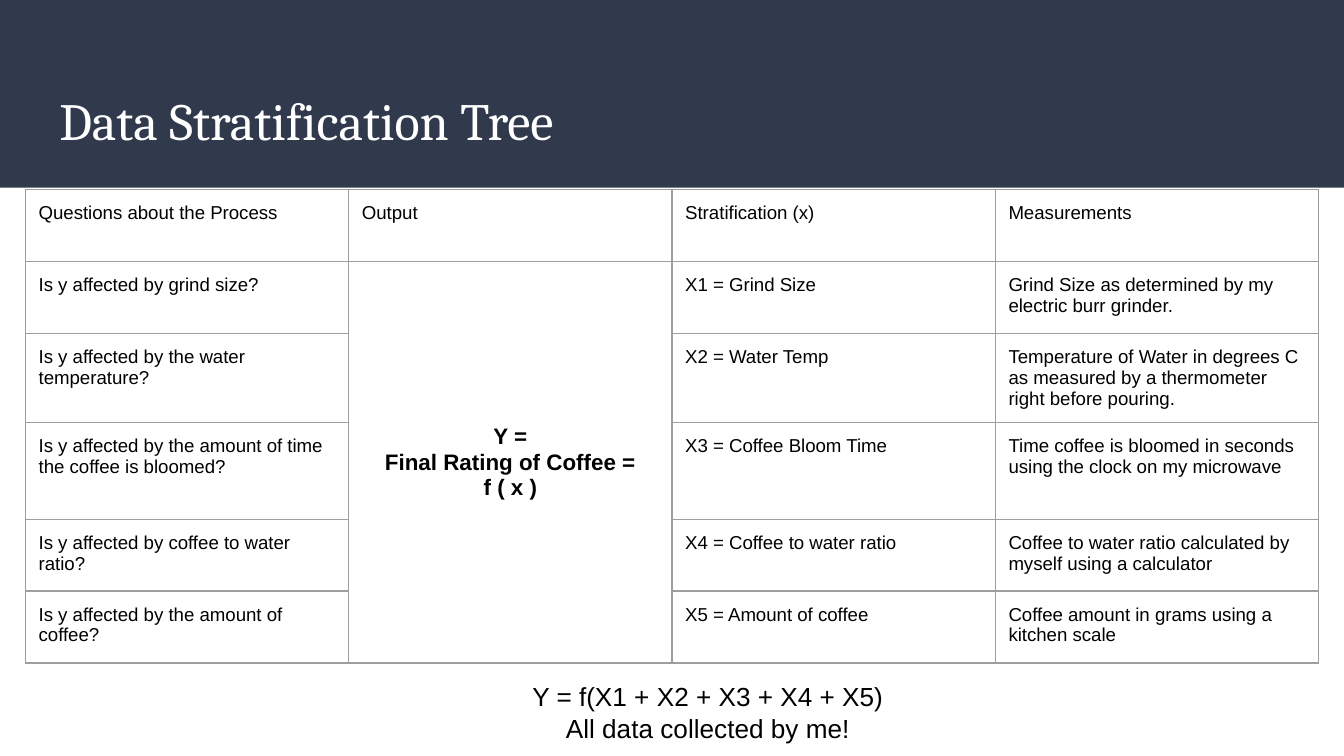
from lxml.etree import SubElement
from pptx import Presentation
from pptx.dml.color import RGBColor
from pptx.enum.shapes import MSO_SHAPE
from pptx.enum.text import MSO_ANCHOR, PP_ALIGN
from pptx.oxml.ns import qn
from pptx.util import Cm, Pt


def color(value):
    return RGBColor.from_string(value)


class StratificationSlide:
    navy = "31394D"
    white = "FFFFFF"
    black = "000000"
    grey = "9E9E9E"
    heading_font = "Cambria"
    body_font = "Arial"
    margin = Cm(0.25)

    def __init__(self, deck):
        self.page = deck.slides.add_slide(deck.slide_layouts[5])

    def format_text(self, frame, size, font, ink, align=PP_ALIGN.LEFT, bold=False):
        for para in frame.paragraphs:
            para.alignment = align
            for span in para.runs:
                span.font.size = Pt(size)
                span.font.name = font
                span.font.bold = bold
                span.font.color.rgb = color(ink)

    def set_margins(self, target):
        target.margin_left = target.margin_right = self.margin
        target.margin_top = target.margin_bottom = self.margin

    def band(self, left, top, width, height):
        box = self.page.shapes.add_shape(MSO_SHAPE.RECTANGLE, left, top, width, height)
        box.shadow.inherit = False
        box.fill.solid()
        box.fill.fore_color.rgb = color(self.navy)
        box.line.fill.background()
        self.page.shapes._spTree.insert(2, box._element)

    def title(self, text, left, top, width, height):
        box = self.page.shapes.title
        box.left, box.top, box.width, box.height = left, top, width, height
        frame = box.text_frame
        frame.text = text
        frame.vertical_anchor = MSO_ANCHOR.MIDDLE
        self.set_margins(frame)
        self.format_text(frame, 28, self.heading_font, self.white)

    def caption(self, text, left, top, width, height):
        frame = self.page.shapes.add_textbox(left, top, width, height).text_frame
        frame.word_wrap = True
        frame.text = text
        frame.vertical_anchor = MSO_ANCHOR.MIDDLE
        self.set_margins(frame)
        self.format_text(frame, 14, self.body_font, self.black, PP_ALIGN.CENTER)

    def border(self, cell):
        properties = cell._tc.get_or_add_tcPr()
        for side in ("lnL", "lnR", "lnT", "lnB"):
            line = SubElement(properties, qn(f"a:{side}"), w=str(Pt(0.75)))
            fill = SubElement(line, qn("a:solidFill"))
            SubElement(fill, qn("a:srgbClr"), val=self.grey)

    def table(self, rows, heights, left, top, width):
        frame = self.page.shapes.add_table(
            len(rows), len(rows[0]), left, top, width, sum(heights))
        table = frame.table
        table.first_row = table.horz_banding = False
        for row, height in zip(table.rows, heights):
            row.height = height
        for row_index, texts in enumerate(rows):
            for column_index, text in enumerate(texts):
                cell = table.cell(row_index, column_index)
                self.border(cell)
                cell.fill.background()
                self.set_margins(cell)
                cell.text_frame.text = text
                self.format_text(cell.text_frame, 10, self.body_font, self.black)
        return table

    def merge_output(self, table):
        cell = table.cell(1, 1)
        cell.merge(table.cell(len(table.rows) - 1, 1))
        cell.vertical_anchor = MSO_ANCHOR.MIDDLE
        self.format_text(cell.text_frame, 12, self.body_font, self.black,
                         PP_ALIGN.CENTER, True)


ROWS = [
    ("Questions about the Process", "Output", "Stratification (x)", "Measurements"),
    ("Is y affected by grind size?", "Y =\nFinal Rating of Coffee =\nf ( x )",
     "X1 = Grind Size", "Grind Size as determined by my electric burr grinder."),
    ("Is y affected by the water temperature?", "", "X2 = Water Temp",
     "Temperature of Water in degrees C as measured by a thermometer right before pouring."),
    ("Is y affected by the amount of time the coffee is bloomed?", "",
     "X3 = Coffee Bloom Time",
     "Time coffee is bloomed in seconds using the clock on my microwave"),
    ("Is y affected by coffee to water ratio?", "", "X4 = Coffee to water ratio",
     "Coffee to water ratio calculated by myself using a calculator"),
    ("Is y affected by the amount of coffee?", "", "X5 = Amount of coffee",
     "Coffee amount in grams using a kitchen scale"),
]


def main():
    deck = Presentation()
    deck.slide_width, deck.slide_height = Cm(25.4), Cm(14.29)
    slide = StratificationSlide(deck)
    slide.band(0, 0, deck.slide_width, Cm(3.55))
    slide.title("Data Stratification Tree", Cm(0.87), Cm(1.4), Cm(23.67), Cm(1.73))
    heights = [Cm(1.36)] * len(ROWS)
    heights[3] = Cm(1.83)
    table = slide.table(ROWS, heights, Cm(0.48), Cm(3.58), Cm(24.44))
    slide.merge_output(table)
    slide.caption("Y = f(X1 + X2 + X3 + X4 + X5)\nAll data collected by me!",
                  Cm(4.43), Cm(12.85), Cm(17.9), Cm(1.22))
    deck.save("out.pptx")


if __name__ == "__main__":
    main()
